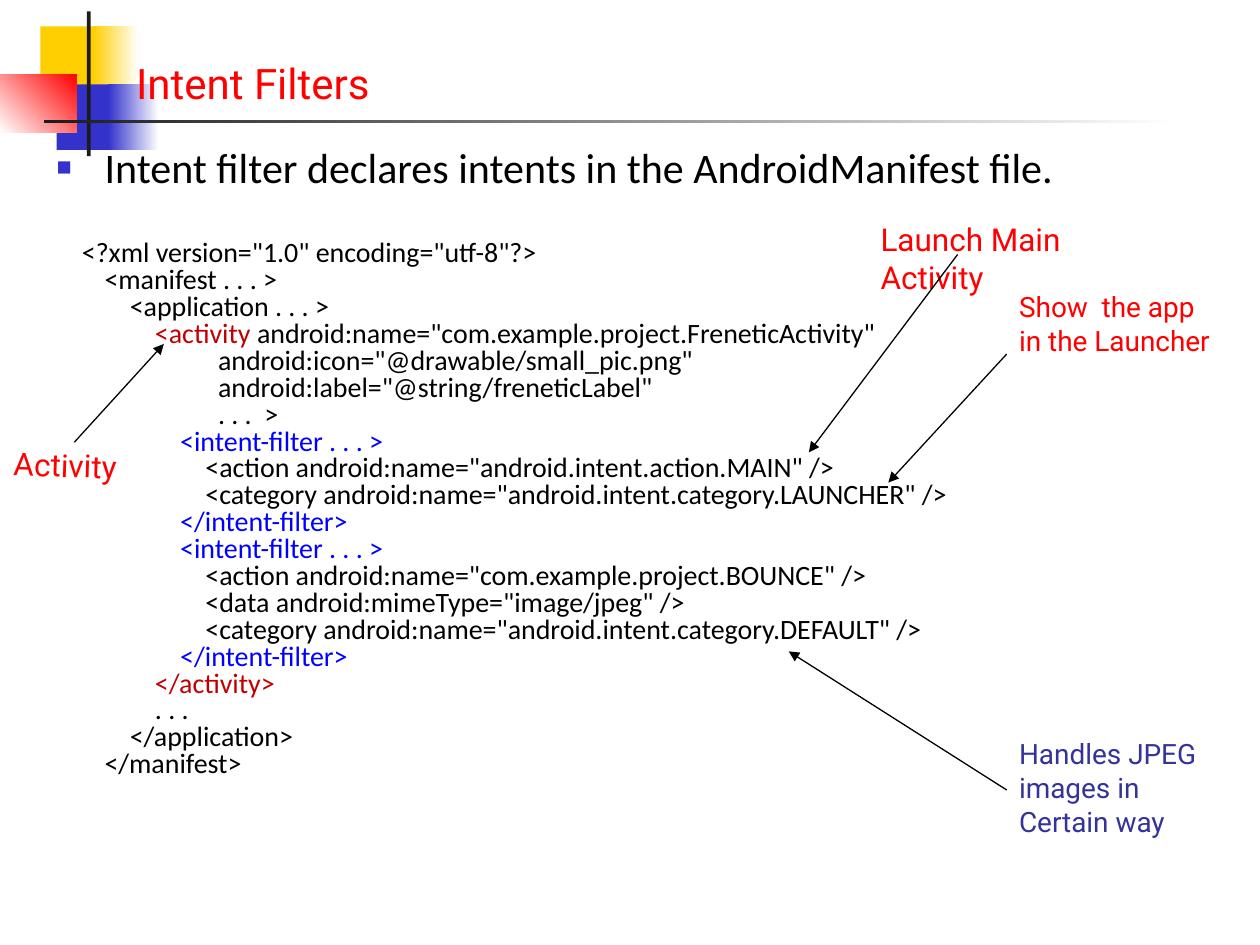
"""Build the Intent Filters slide with its annotated manifest listing."""
from lxml.etree import SubElement
from pptx import Presentation
from pptx.dml.color import RGBColor
from pptx.enum.shapes import MSO_CONNECTOR, MSO_SHAPE
from pptx.enum.text import MSO_ANCHOR, MSO_AUTO_SIZE, PP_ALIGN
from pptx.oxml.ns import qn
from pptx.util import Inches, Pt

COLORS = {
    "black": "000000", "white": "FFFFFF", "red": "FF0000", "yellow": "FFCF01",
    "indigo": "3333CC", "charcoal": "1C1C1C", "tag": "C00000",
    "filter": "0000FF", "note": "333399",
}
TITLE = "Intent Filters"
LEAD = "Intent filter declares intents in the AndroidManifest file."
CODE = [
    (4, [('<?xml version="1.0" encoding="utf-8"?>', "black")]),
    (0, [("<manifest . . . >", "black")]),
    (4, [("<application . . . >", "black")]),
    (8, [("<activity ", "tag"),
         ('android:name="com.example.project.FreneticActivity"', "black")]),
    (18, [('android:icon="@drawable/small_pic.png"', "black")]),
    (18, [('android:label="@string/freneticLabel"', "black")]),
    (18, [(". . .  >", "black")]),
    (12, [("<intent-filter . . . >", "filter")]),
    (16, [('<action android:name="android.intent.action.MAIN" />', "black")]),
    (16, [('<category android:name="android.intent.category.LAUNCHER" />', "black")]),
    (12, [("</intent-filter>", "filter")]),
    (12, [("<intent-filter . . . >", "filter")]),
    (16, [('<action android:name="com.example.project.BOUNCE" />', "black")]),
    (16, [('<data android:mimeType="image/jpeg" />', "black")]),
    (16, [('<category android:name="android.intent.category.DEFAULT" />', "black")]),
    (12, [("</intent-filter>", "filter")]),
    (8, [("</activity>", "tag")]),
    (8, [(". . .", "black")]),
    (4, [("</application>", "black")]),
    (0, [("</manifest>", "black")]),
]
DECORATIONS = [
    ((0.32, 0.21, 0.48, 0.52), ("yellow",), 0),
    ((0.74, 0.21, 0.36, 0.52), ("yellow", "white"), 0),
    ((0.45, 0.67, 0.46, 0.52), ("indigo",), 0),
    ((0.86, 0.67, 0.4, 0.52), ("indigo", "white"), 0),
    ((0, 0.59, 0.61, 0.46), ("white", "red"), 45),
    ((0.69, 0.09, 0.03, 1.15), ("charcoal",), 0),
    ((0.35, 0.95, 9, 0.03), ("charcoal", "white"), 0),
]
CALLOUTS = [
    ("Show  the app in the Launcher", (7.99, 2.25, 1.73, 0.9), 16, "red", 0,
     (7.99, 2.81, 7.05, 3.83)),
    ("Handles JPEG images in Certain way", (7.99, 5.8, 1.73, 0.9), 16, "note", 0,
     (7.99, 6.27, 6.26, 5.17)),
    ("Activity", (0.01, 3.49, 1.05, 0.4), 18, "red", 2,
     (0.59, 3.51, 1.3, 2.73)),
    ("Launch Main Activity", (6.89, 1.7, 2.4, 0.7), 18, "red", 0,
     (7.6, 2.02, 6.42, 3.59)),
]


def color(name):
    return RGBColor.from_string(COLORS[name])


def place(shape, box):
    shape.left, shape.top, shape.width, shape.height = map(Inches, box)


def add_run(paragraph, text, size, font, color_name):
    run = paragraph.add_run()
    run.text = text
    run.font.size = Pt(size)
    run.font.name = font
    run.font.color.rgb = color(color_name)


def add_decoration(slide, box, fill_colors, angle):
    shape = slide.shapes.add_shape(MSO_SHAPE.RECTANGLE, *map(Inches, box))
    shape.shadow.inherit = False
    shape.line.fill.background()
    if len(fill_colors) == 1:
        shape.fill.solid()
        shape.fill.fore_color.rgb = color(fill_colors[0])
        return
    shape.fill.gradient()
    shape.fill.gradient_angle = angle
    for stop, name in zip(shape.fill.gradient_stops, fill_colors):
        stop.color.rgb = color(name)


def format_body_paragraph(paragraph, bullet, space_before):
    properties = paragraph._p.get_or_add_pPr()
    properties.set("marL", str(Inches(0.38)))
    properties.set("indent", str(-Inches(0.38)))
    if bullet:
        bullet_color = SubElement(properties, qn("a:buClr"))
        SubElement(bullet_color, qn("a:srgbClr"), val=COLORS["indigo"])
        SubElement(properties, qn("a:buSzPct"), val="60000")
        SubElement(properties, qn("a:buChar"), char=bullet)
    else:
        SubElement(properties, qn("a:buNone"))
    paragraph.line_spacing = 0.8
    paragraph.space_before = Pt(space_before)


def fill_title(title):
    place(title, (0.98, 0, 8.62, 0.91))
    frame = title.text_frame
    frame.auto_size = MSO_AUTO_SIZE.NONE
    frame.vertical_anchor = MSO_ANCHOR.BOTTOM
    paragraph = frame.paragraphs[0]
    paragraph.alignment = PP_ALIGN.LEFT
    add_run(paragraph, TITLE, 24, "Roboto", "red")


def fill_body(body):
    place(body, (0.35, 1.15, 9.29, 5.59))
    frame = body.text_frame
    frame.auto_size = MSO_AUTO_SIZE.NONE
    lead = frame.paragraphs[0]
    format_body_paragraph(lead, "■", 0)
    add_run(lead, LEAD, 24, "Calibri", "black")
    listing = frame.add_paragraph()
    format_body_paragraph(listing, None, 28.5)
    for number, (indent, pieces) in enumerate(CODE):
        if number:
            listing.add_line_break()
        for position, (text, name) in enumerate(pieces):
            lead_space = "" if position else " " * indent
            add_run(listing, lead_space + text, 16, "Calibri", name)


def add_callout(slide, text, box, size, color_name, rotation, ends):
    label = slide.shapes.add_textbox(*map(Inches, box))
    label.rotation = rotation
    label.text_frame.word_wrap = True
    add_run(label.text_frame.paragraphs[0], text, size, "Roboto", color_name)
    arrow = slide.shapes.add_connector(MSO_CONNECTOR.STRAIGHT, *map(Inches, ends))
    arrow.line.color.rgb = color("black")
    arrow.line.width = Pt(0.75)
    SubElement(arrow.line._get_or_add_ln(), qn("a:tailEnd"), type="triangle")
    SubElement(arrow._element.spPr, qn("a:effectLst"))


def main():
    presentation = Presentation()
    presentation.slide_width, presentation.slide_height = Inches(10), Inches(7.5)
    slide = presentation.slides.add_slide(presentation.slide_layouts[1])
    title, body = slide.placeholders
    for decoration in DECORATIONS:
        add_decoration(slide, *decoration)
    for placeholder in (title, body):
        slide.shapes._spTree.append(placeholder._element)
    fill_title(title)
    fill_body(body)
    for callout in CALLOUTS:
        add_callout(slide, *callout)
    presentation.save("out.pptx")


if __name__ == "__main__":
    main()
